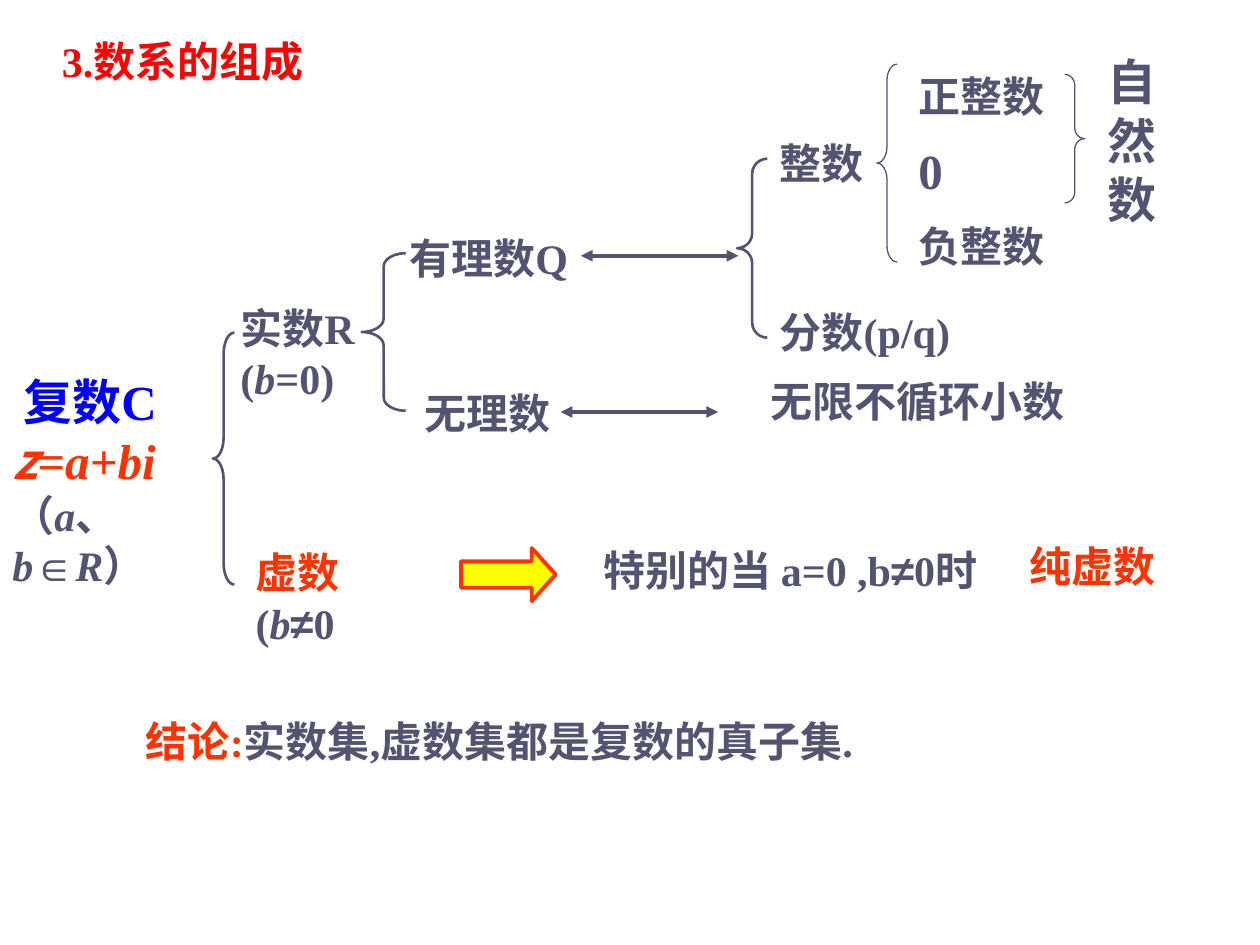
from lxml.etree import SubElement
from pptx import Presentation
from pptx.dml.color import RGBColor
from pptx.enum.shapes import MSO_CONNECTOR, MSO_SHAPE
from pptx.enum.text import MSO_ANCHOR, MSO_AUTO_SIZE, PP_ALIGN
from pptx.oxml.ns import qn
from pptx.util import Inches, Pt

COLORS = {
    "slate": "545472",
    "orange": "FF3300",
    "red": "FF0000",
    "blue": "0000FF",
    "yellow": "FFFF00",
}
LATIN_FONT = "Times New Roman"
CHINESE_FONT = "Noto Sans CJK SC"
SYMBOL_FONT = "Arial"

ITALIC = {"italic": True}
SYMBOL = {"name": SYMBOL_FONT}

# left, top, width, height, text, colour
LABELS = [
    (3.15, 1.8, 1.54, 0.5, "有理数Q", "slate"),
    (3.27, 3.03, 1.2, 0.5, "无理数", "slate"),
    (6.09, 1.04, 0.95, 0.5, "整数", "slate"),
    (6.09, 2.38, 1.73, 0.5, "分数(p/q)", "slate"),
    (6.02, 2.93, 2.76, 0.5, "无限不循环小数", "slate"),
    (8.07, 4.24, 1.42, 0.5, "纯虚数", "orange"),
    (7.19, 0.51, 1.26, 0.5, "正整数", "slate"),
    (7.19, 1.7, 1.26, 0.5, "负整数", "slate"),
]

# preset, left, top, width, height, line width
BRACES = [
    (MSO_SHAPE.LEFT_BRACE, 1.69, 2.64, 0.17, 2, 1.5),
    (MSO_SHAPE.LEFT_BRACE, 2.87, 2.01, 0.35, 1.25, 1.5),
    (MSO_SHAPE.LEFT_BRACE, 5.85, 1.26, 0.24, 1.42, 1.5),
    (MSO_SHAPE.LEFT_BRACE, 6.96, 0.51, 0.16, 1.57, 0.75),
    (MSO_SHAPE.RIGHT_BRACE, 8.45, 0.59, 0.16, 1.02, 0.75),
]


def rgb(color):
    return RGBColor.from_string(COLORS[color])


def style_font(font, size=None, color=None, name=None, bold=None, italic=None):
    """Set only the given properties, so that the others are inherited."""
    if size:
        font.size = Pt(size)
    if color:
        font.color.rgb = rgb(color)
    if name:
        font.name = name
    if bold is not None:
        font.bold = bold
    if italic is not None:
        font.italic = italic


def write_paragraph(paragraph, runs, size, color):
    """Write runs given as (text, font overrides) over a common bold font."""
    paragraph.alignment = PP_ALIGN.LEFT
    style_font(paragraph.font, size, color, LATIN_FONT, bold=True)
    properties = paragraph.font._element
    SubElement(properties, qn("a:ea")).set("typeface", CHINESE_FONT)
    for text, overrides in runs:
        run = paragraph.add_run()
        run.text = text
        style_font(run.font, **overrides)


def add_text(slide, left, top, width, height, paragraphs, color="slate",
             size=24, wrap=True):
    """Add a text box; paragraphs is a string or a list of run lists."""
    box = slide.shapes.add_textbox(
        Inches(left), Inches(top), Inches(width), Inches(height))
    frame = box.text_frame
    frame.word_wrap = wrap
    if isinstance(paragraphs, str):
        paragraphs = [[(paragraphs, {})]]
    for index, runs in enumerate(paragraphs):
        paragraph = frame.add_paragraph() if index else frame.paragraphs[0]
        write_paragraph(paragraph, runs, size, color)


def set_title(slide, text):
    title = slide.shapes.title
    title.left, title.top = Inches(0.39), Inches(0.23)
    title.width, title.height = Inches(2.84), Inches(0.5)
    frame = title.text_frame
    frame.word_wrap = True
    frame.auto_size = MSO_AUTO_SIZE.NONE
    frame.vertical_anchor = MSO_ANCHOR.TOP
    write_paragraph(frame.paragraphs[0], [(text, {})], 24, "red")


def add_brace(slide, preset, left, top, width, height, line_width):
    brace = slide.shapes.add_shape(
        preset, Inches(left), Inches(top), Inches(width), Inches(height))
    brace.shadow.inherit = False
    brace.adjustments[0] = height / 12 / width
    brace.fill.background()
    brace.line.color.rgb = rgb("slate")
    brace.line.width = Pt(line_width)


def add_double_arrow(slide, left, right, y):
    arrow = slide.shapes.add_connector(
        MSO_CONNECTOR.STRAIGHT, Inches(left), Inches(y), Inches(right), Inches(y))
    arrow.line.color.rgb = rgb("slate")
    arrow.line.width = Pt(2.25)
    line = arrow.line._get_or_add_ln()
    for end in ("a:headEnd", "a:tailEnd"):
        SubElement(line, qn(end)).set("type", "triangle")
    SubElement(arrow._element.spPr, qn("a:effectLst"))


def add_block_arrow(slide):
    arrow = slide.shapes.add_shape(
        MSO_SHAPE.RIGHT_ARROW, Inches(3.66), Inches(4.35), Inches(0.75), Inches(0.42))
    arrow.shadow.inherit = False
    arrow.adjustments[0] = 0.5
    arrow.adjustments[1] = 0.45
    arrow.fill.solid()
    arrow.fill.fore_color.rgb = rgb("yellow")
    arrow.line.color.rgb = rgb("orange")
    arrow.line.width = Pt(2.25)


def add_complex_number(slide):
    orange = {"color": "orange"}
    small = {"size": 24}
    add_text(slide, 0, 2.9, 1.77, 2.24, [
        [(" 复数C", {"color": "blue"})],
        [("z", {**orange, **ITALIC, "name": CHINESE_FONT}),
         ("=", orange),
         ("a+bi", {**orange, **ITALIC}),
         ("（", small),
         ("a", {**small, **ITALIC}),
         ("、", small),
         ("b", {**small, **ITALIC}),
         ("∈", {**small, **SYMBOL}),
         ("R", {**small, **ITALIC}),
         ("）", small)],
    ], size=28)


def main():
    presentation = Presentation()
    presentation.slide_width = Inches(10)
    presentation.slide_height = Inches(7.5)
    slide = presentation.slides.add_slide(presentation.slide_layouts[5])

    set_title(slide, "3.数系的组成")
    add_complex_number(slide)
    add_text(slide, 1.81, 2.35, 1.18, 0.9, [
        [("实数R", {})],
        [("(", {}), ("b", ITALIC), ("=0)", {})],
    ], wrap=False)
    add_text(slide, 1.93, 4.29, 1.34, 0.9, [
        [("虚数", {"color": "orange"})],
        [("(", {}), ("b", ITALIC), ("≠", SYMBOL), ("0", {})],
    ])
    for left, top, width, height, text, color in LABELS:
        add_text(slide, left, top, width, height, text, color)
    add_text(slide, 7.19, 1.07, 0.95, 0.57, "0", size=28)
    add_text(slide, 8.69, 0.36, 0.95, 1.5, "自然数", size=28)
    add_text(slide, 4.69, 4.27, 3.46, 0.5, [
        [("特别的当 a=0 ,b", {}), ("≠", SYMBOL), ("0时", {})],
    ])
    add_text(slide, 1.06, 5.63, 5.98, 0.9, [
        [("结论:", {"color": "orange"}), ("实数集,虚数集都是复数的真子集.", {})],
    ])

    for brace in BRACES:
        add_brace(slide, *brace)
    add_double_arrow(slide, 4.61, 5.86, 2.03)
    add_double_arrow(slide, 4.45, 5.7, 3.27)
    add_block_arrow(slide)

    presentation.save("out.pptx")


if __name__ == "__main__":
    main()
